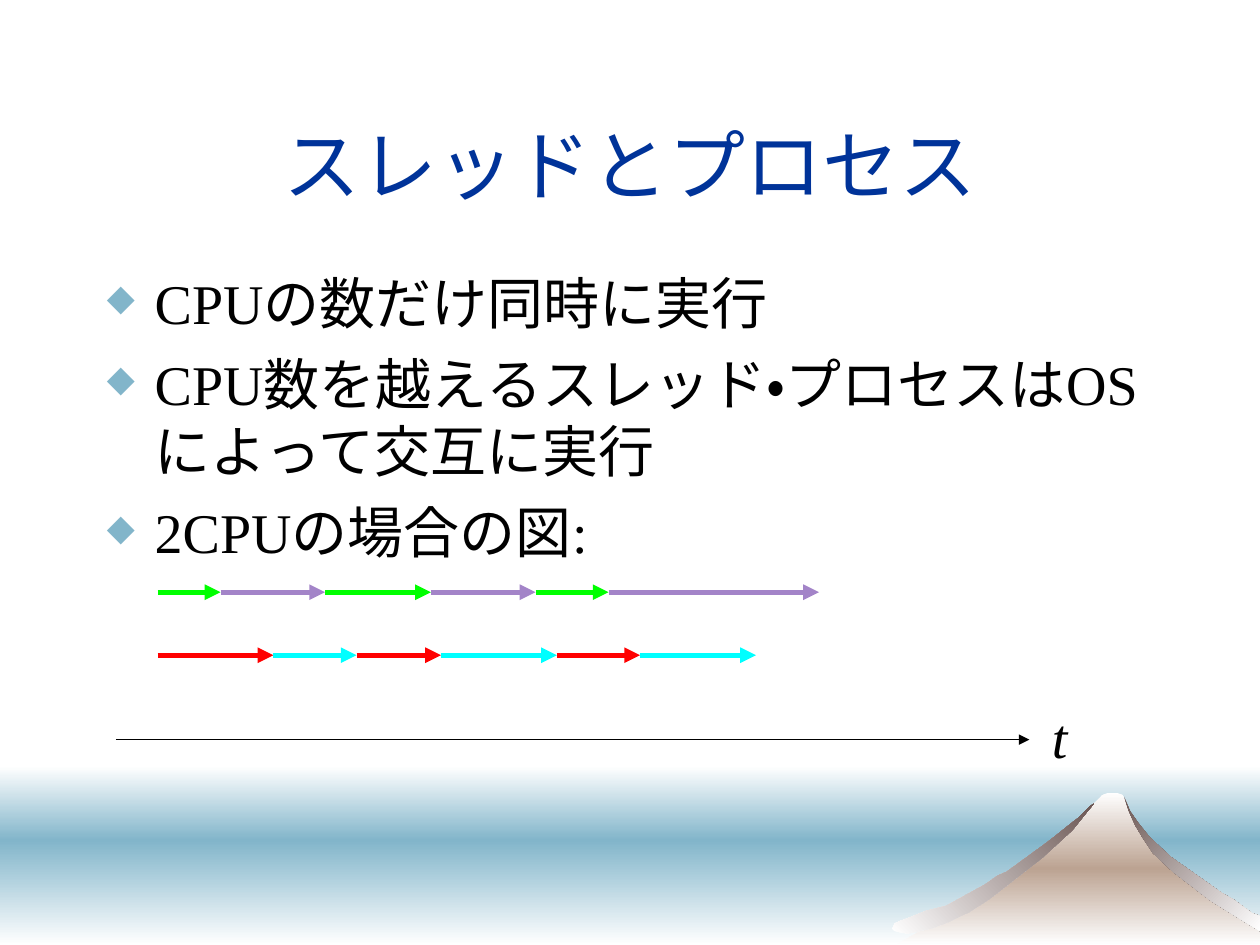
import pptx
import pptx.util
import pptx.dml.color
import pptx.enum.lang
import pptx.enum.shapes
import pptx.enum.text
import pptx.oxml
import pptx.oxml.ns

Inches = pptx.util.Inches
Pt = pptx.util.Pt
RGB = pptx.dml.color.RGBColor.from_string
ENUM = pptx.enum.text

THEME = {
    "font": "Times New Roman", "head": 44, "body": 32,
    "blue": "003399", "ink": "000000", "sea": "82B5CA", "white": "FFFFFF",
    "sand": "BCA392", "rock": "6B5653", "green": "00FF00",
    "plum": "A384C8", "red": "FF0000", "cyan": "00FFFF",
}

TITLE = "スレッドとプロセス"
POINTS = [
    "CPUの数だけ同時に実行",
    "CPU数を越えるスレッド・プロセスはOSによって交互に実行",
    "2CPUの場合の図:",
]
AXIS = "t"

LANES = [
    (5.2, ("red", "cyan"), [1.25, 2.17, 2.83, 3.5, 4.42, 5.08, 6]),
    (4.7, ("green", "plum"), [1.25, 1.75, 2.58, 3.42, 4.25, 4.83, 6.5]),
]

BANDS = [
    (6.08, 0.59, ("white", "sea")),
    (6.67, 0.83, ("sea", "white")),
]

HILLS = [
    (("white", "sand", "white"), 90, [
        (711, 750), (790, 705), (840, 666), (869, 637), (875, 631), (880, 629),
        (886, 629), (891, 631), (903, 657), (922, 680), (968, 712),
        (1000, 733), (1000, 750)]),
    (("rock", "white"), 45, [
        (915, 677), (931, 692), (948, 705), (953, 709), (961, 715), (990, 733),
        (1000, 739), (1000, 727), (994, 725), (979, 714), (970, 709),
        (929, 680), (912, 664), (904, 654), (897, 644), (892, 632),
        (896, 644), (901, 655), (907, 665)]),
    (("white", "rock"), 315, [
        (832, 668), (799, 692), (792, 695), (782, 702), (751, 719), (735, 723),
        (720, 729), (714, 731), (710, 733), (708, 737), (710, 739), (714, 740),
        (720, 741), (730, 739), (739, 737), (750, 733), (769, 724), (780, 717),
        (786, 713), (827, 681), (851, 659), (864, 643), (868, 638),
        (865, 640), (856, 649)]),
]


def put(obj, vals):
    for key, val in vals.items():
        setattr(obj, key, val)


def node(tag, body="", **attrs):
    text = " ".join(f'{key}="{val}"' for key, val in attrs.items())
    space = pptx.oxml.ns.nsdecls("a")
    return pptx.oxml.parse_xml(f"<a:{tag} {space} {text}>{body}</a:{tag}>")


def shade(shape, tones, angle):
    shape.shadow.inherit = False
    shape.line.fill.background()
    shape.fill.gradient()
    shape.fill.gradient_angle = (360 - angle) % 360
    stops = shape._element.spPr.find(".//" + pptx.oxml.ns.qn("a:gsLst"))
    for stop in list(stops):
        stops.remove(stop)
    for rank, tone in enumerate(tones):
        place = 100000 * rank // (len(tones) - 1)
        stops.append(node("gs", f'<a:srgbClr val="{THEME[tone]}"/>', pos=place))


def arrow(shapes, start, end, row, tone, width):
    kind = pptx.enum.shapes.MSO_CONNECTOR.STRAIGHT
    line = shapes.add_connector(
        kind, Inches(start), Inches(row), Inches(end), Inches(row))
    line.line.color.rgb = RGB(THEME[tone])
    line.line.width = Pt(width)
    line.line._get_or_add_ln().append(node("tailEnd", type="triangle"))
    line._element.spPr.append(node("effectLst"))


def write(shapes, spot, lines, size, tone, frame, style, face, mark=False):
    text = shapes.add_textbox(*map(Inches, spot)).text_frame
    put(text, frame)
    look = {"name": THEME["font"], "size": Pt(size),
            "language_id": pptx.enum.lang.MSO_LANGUAGE_ID.JAPANESE} | face
    for rank, words in enumerate(lines):
        para = text.add_paragraph() if rank else text.paragraphs[0]
        if mark:
            props = para._p.get_or_add_pPr()
            props.set("marL", str(Inches(0.38)))
            props.set("indent", str(-Inches(0.38)))
            props.append(node("buClr", f'<a:srgbClr val="{THEME["sea"]}"/>'))
            props.append(node("buSzPct", val=65000))
            props.append(node("buChar", char="◆"))
        put(para, style)
        if mark and rank:
            para.space_before = Pt(8)
        run = para.add_run()
        run.text = words
        put(run.font, look)
        run.font.color.rgb = RGB(THEME[tone])


def main():
    deck = pptx.Presentation()
    put(deck, {"slide_width": Inches(10), "slide_height": Inches(7.5)})
    shapes = deck.slides.add_slide(deck.slide_layouts[6]).shapes

    for top, height, tones in BANDS:
        band = shapes.add_shape(
            pptx.enum.shapes.MSO_SHAPE.RECTANGLE,
            0, Inches(top), Inches(10), Inches(height))
        shade(band, tones, 90)
    for tones, angle, dots in HILLS:
        path = shapes.build_freeform(*dots[0], scale=Inches(0.01))
        path.add_line_segments(dots[1:], close=True)
        shade(path.convert_to_shape(), tones, angle)

    write(shapes, (0.75, 0.67, 8.5, 1.25), [TITLE], THEME["head"], "blue",
          {"word_wrap": True, "vertical_anchor": ENUM.MSO_ANCHOR.MIDDLE},
          {"alignment": ENUM.PP_ALIGN.CENTER}, {})
    write(shapes, (0.75, 2.08, 8.5, 4.5), POINTS, THEME["body"], "ink",
          {"word_wrap": True}, {}, {}, True)
    write(shapes, (8.25, 5.53, 0.43, 0.64), [AXIS], THEME["body"], "ink",
          {"auto_size": ENUM.MSO_AUTO_SIZE.SHAPE_TO_FIT_TEXT},
          {}, {"italic": True})

    for row, tones, stops in LANES:
        for rank, (start, end) in enumerate(zip(stops, stops[1:])):
            arrow(shapes, start, end, row, tones[rank % 2], 3)
    arrow(shapes, 0.92, 8.17, 5.87, "ink", 0.75)

    deck.save("out.pptx")


if __name__ == "__main__":
    main()
